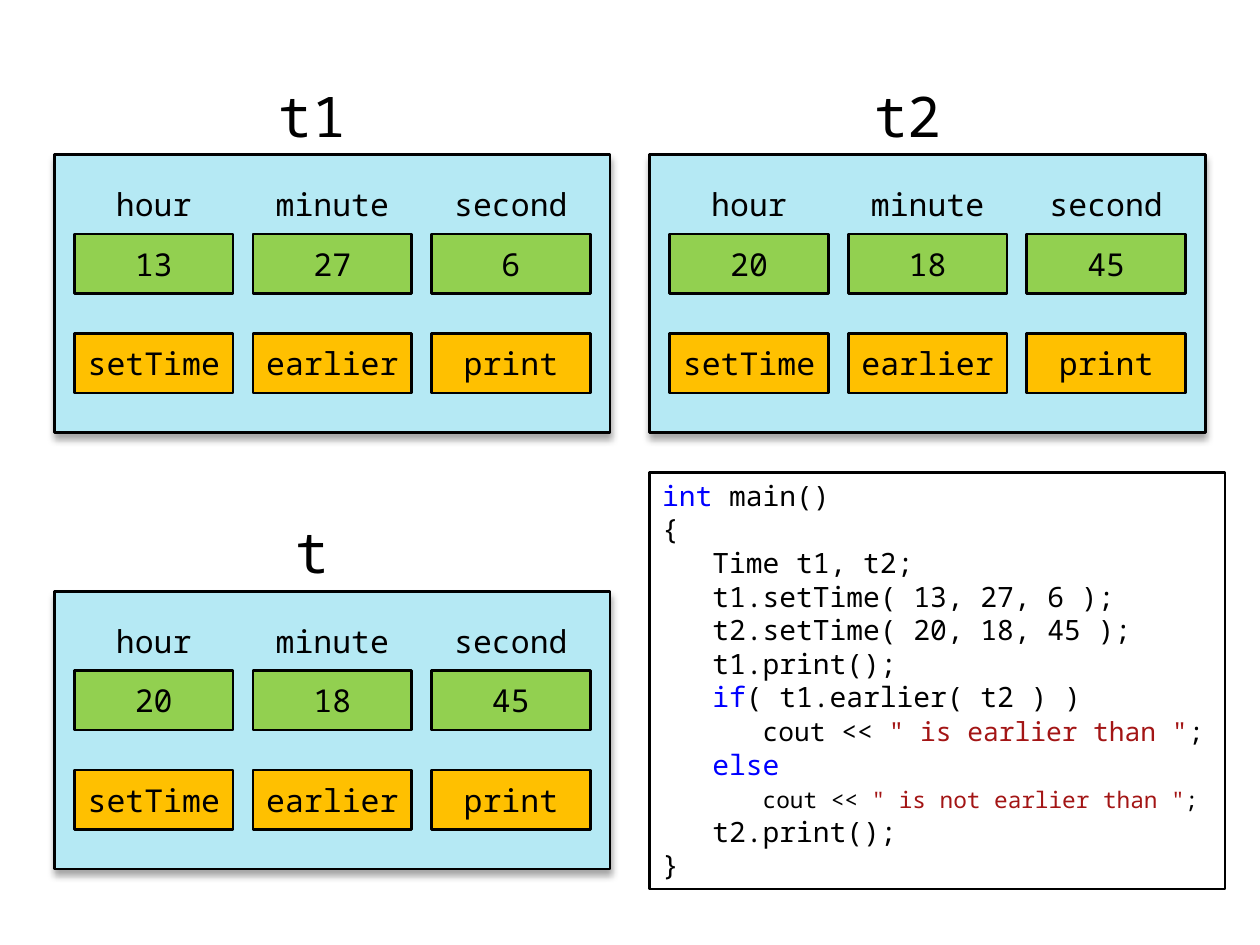
from dataclasses import dataclass
from typing import NamedTuple

from lxml.etree import SubElement
from pptx import Presentation
from pptx.dml.color import RGBColor as Rgb
from pptx.enum.shapes import MSO_SHAPE as Kind
from pptx.enum.text import MSO_ANCHOR as Anchor, PP_ALIGN as Align
from pptx.oxml.ns import qn
from pptx.shapes.autoshape import Shape
from pptx.slide import Slide
from pptx.util import Cm, Pt


@dataclass(frozen=True)
class Theme:
    font: str = "Noto Sans Mono"
    ink: str = "000000"
    paper: str = "FFFFFF"
    panel: str = "B5E9F4"
    value: str = "92D050"
    method: str = "FFC000"
    keyword: str = "0000FF"
    literal: str = "A31515"
    name_size: float = 32
    cell_size: float = 18
    code_size: float = 16
    line: float = 1.5


class Box(NamedTuple):
    x: float
    y: float
    w: float
    h: float


class Object(NamedTuple):
    name: str
    x: float
    y: float
    values: tuple[str, str, str]


class Token(NamedTuple):
    text: str
    color: str = Theme.ink


class Line(NamedTuple):
    depth: int
    tokens: tuple[Token, ...]
    size: float = Theme.code_size


THEME = Theme()

# Lengths in centimetres
LEFT, RIGHT = 1.1, 13.1
TOP, LOW = 3.12, 11.92
PAD = 0.4
CELL_W, CELL_H = 3.2, 1.2
STEP = CELL_W + PAD
NAME_H = 1.6
PANEL_W, PANEL_H = 3 * STEP + PAD, 5.6
CODE = Box(RIGHT, 9.52, 11.6, 8.4)

FIELDS = ("hour", "minute", "second")
METHODS = ("setTime", "earlier", "print")
OBJECTS = (
    Object("t1", LEFT, TOP, ("13", "27", "6")),
    Object("t2", RIGHT, TOP, ("20", "18", "45")),
    Object("t", LEFT, LOW, ("20", "18", "45")),
)


def plain(depth: int, text: str) -> Line:
    return Line(depth, (Token(text),))


def output(text: str, size: float) -> Line:
    tokens = Token("cout << "), Token(text, THEME.literal), Token(";")
    return Line(2, tokens, size)


LINES = (
    Line(0, (Token("int", THEME.keyword), Token(" main()"))),
    plain(0, "{"),
    plain(1, "Time t1, t2;"),
    plain(1, "t1.setTime( 13, 27, 6 );"),
    plain(1, "t2.setTime( 20, 18, 45 );"),
    plain(1, "t1.print();"),
    Line(1, (Token("if", THEME.keyword), Token("( t1.earlier( t2 ) )"))),
    output('" is earlier than "', 15),
    Line(1, (Token("else", THEME.keyword),)),
    output('" is not earlier than "', 13),
    plain(1, "t2.print();"),
    plain(0, "}"),
)


def add_box(slide: Slide, box: Box, fill: str | None, line: str,
            kind: Kind = Kind.FLOWCHART_PROCESS) -> Shape:
    shape = slide.shapes.add_shape(kind, *map(Cm, box))
    shape.shadow.inherit = False
    if fill:
        shape.fill.solid()
        shape.fill.fore_color.rgb = Rgb.from_string(fill)
    else:
        shape.fill.background()
    shape.line.color.rgb = Rgb.from_string(line)
    shape.line.width = Pt(THEME.line)
    return shape


def add_label(slide: Slide, box: Box, text: str, size: float,
              fill: str, line: str) -> None:
    frame = add_box(slide, box, fill, line).text_frame
    frame.word_wrap = False
    frame.vertical_anchor = Anchor.MIDDLE
    para = frame.paragraphs[0]
    para.text = text
    para.alignment = Align.CENTER
    para.font.name = THEME.font
    para.font.size = Pt(size)
    para.font.color.rgb = Rgb.from_string(THEME.ink)


def add_shadow(shape: Shape) -> None:
    """Cast a soft shadow straight down."""
    effects = shape._element.spPr.find(qn("a:effectLst"))
    outer = SubElement(effects, qn("a:outerShdw"), blurRad=str(Pt(4)),
                       dist=str(Pt(3)), dir="5400000", rotWithShape="0")
    color = SubElement(outer, qn("a:srgbClr"), val=THEME.ink)
    SubElement(color, qn("a:alpha"), val="35000")


def add_object(slide: Slide, obj: Object) -> None:
    name = Box(obj.x + STEP, obj.y - NAME_H, CELL_W, NAME_H)
    add_label(slide, name, obj.name, THEME.name_size, THEME.paper, THEME.paper)
    panel = Box(obj.x, obj.y, PANEL_W, PANEL_H)
    add_shadow(add_box(slide, panel, THEME.panel, THEME.ink))
    rows = (
        (PAD, FIELDS, THEME.panel, THEME.panel),
        (PAD + CELL_H, obj.values, THEME.value, THEME.ink),
        (PAD + 2 * CELL_H + 2 * PAD, METHODS, THEME.method, THEME.ink),
    )
    for drop, texts, fill, line in rows:
        for col, text in enumerate(texts):
            cell = Box(obj.x + PAD + col * STEP, obj.y + drop, CELL_W, CELL_H)
            add_label(slide, cell, text, THEME.cell_size, fill, line)


def add_code(slide: Slide) -> None:
    frame = add_box(slide, CODE, None, THEME.ink, Kind.RECTANGLE).text_frame
    frame.word_wrap = True
    frame.vertical_anchor = Anchor.TOP
    frame.margin_right = Cm(0.1)
    for row, line in enumerate(LINES):
        para = frame.add_paragraph() if row else frame.paragraphs[0]
        para.alignment = Align.LEFT
        para.font.name = THEME.font
        para.font.size = Pt(THEME.code_size)
        if line.depth:
            para.add_run().text = "   " * line.depth
        for token in line.tokens:
            run = para.add_run()
            run.text = token.text
            run.font.color.rgb = Rgb.from_string(token.color)
            if line.size != THEME.code_size:
                run.font.size = Pt(line.size)


def main() -> None:
    deck = Presentation()
    deck.slide_width, deck.slide_height = Cm(25.4), Cm(19.05)
    slide = deck.slides.add_slide(deck.slide_layouts[6])
    for obj in OBJECTS:
        add_object(slide, obj)
    add_code(slide)
    deck.save("out.pptx")


if __name__ == "__main__":
    main()
